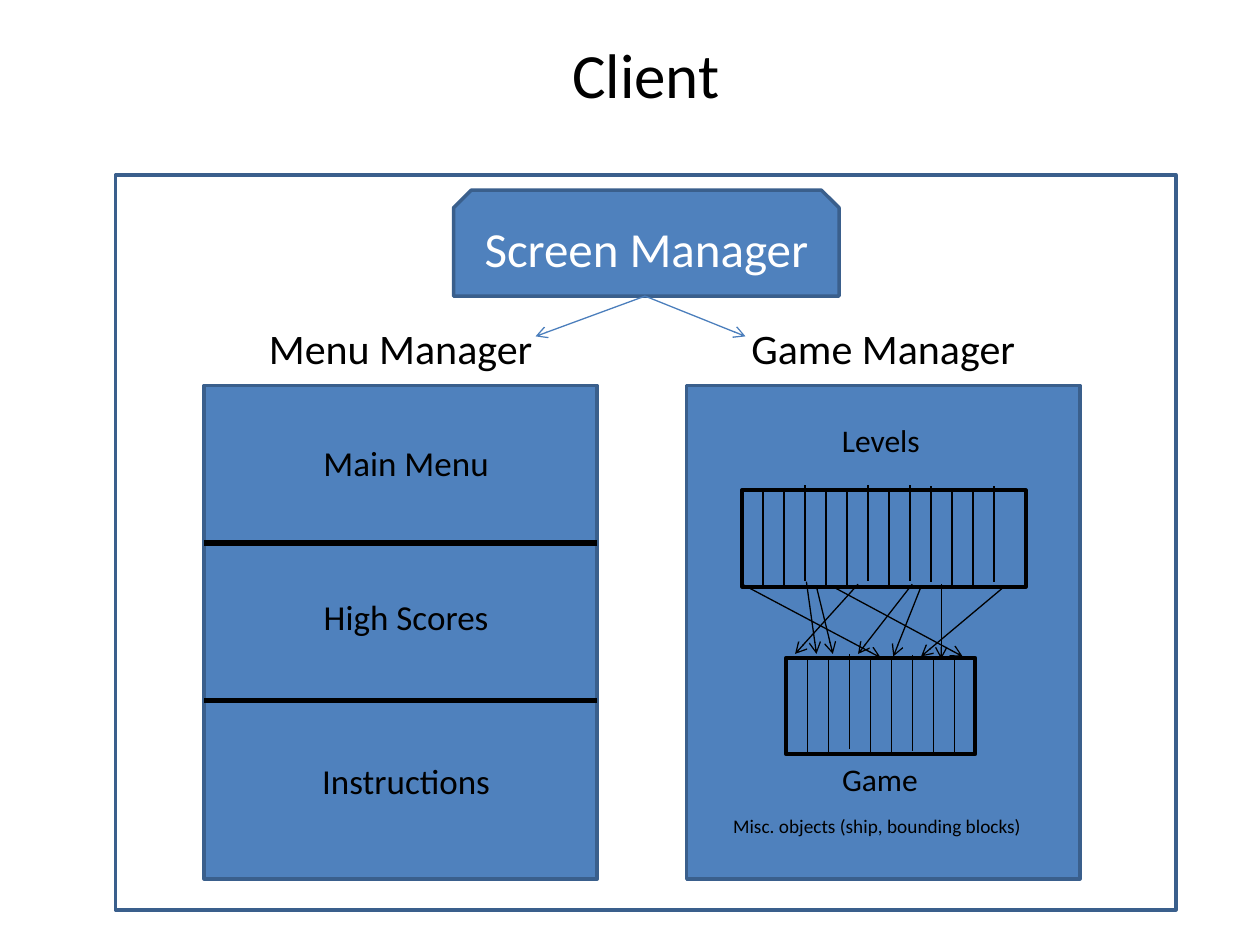
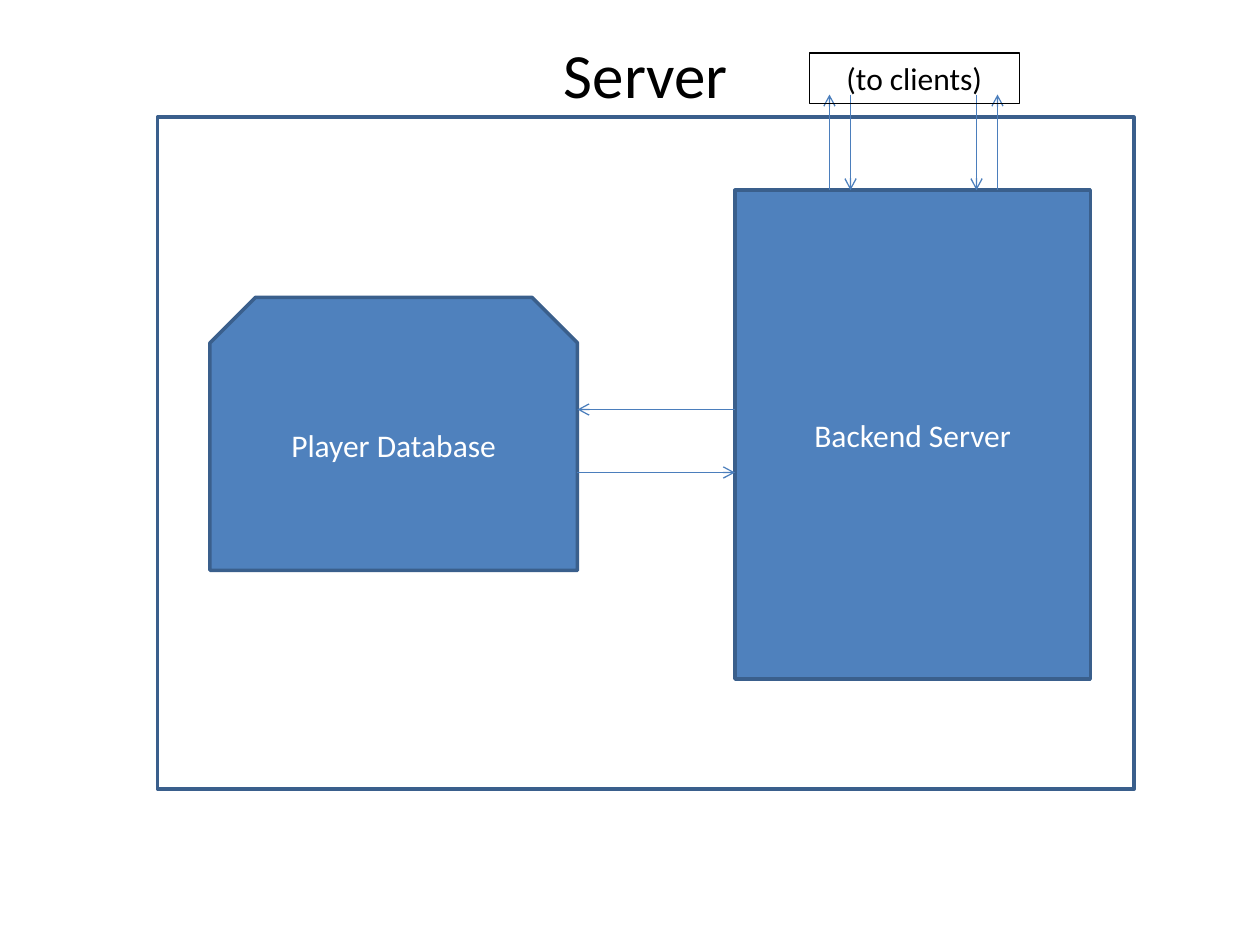
from collections import namedtuple

from lxml import etree
from pptx import Presentation
from pptx import util as u
from pptx.dml.color import RGBColor
from pptx.enum import shapes, text
from pptx.oxml.ns import qn

COLORS = {"paper": "FFFFFF", "block": "4F81BD", "edge": "3A5F8C",
          "arrow": "4B7EBC", "ink": "000000"}
FONT = "Calibri"
COLUMNS, ROWS = 60, 45
CELL = u.Inches(10) // COLUMNS
Box = namedtuple("Box", "x y w h")


def within(box, x, y, w, h):
    """Return a box placed by grid cells from the corner of another box."""
    return Box(box.x + x, box.y + y, w, h)


def cells(*values):
    """Turn grid cells into slide lengths."""
    return [u.Emu(round(value * CELL)) for value in values]


def color(name):
    """Look up a palette colour."""
    return RGBColor.from_string(COLORS[name])


def write(shape, words, size, ink="ink", align=text.PP_ALIGN.CENTER,
          anchor=text.MSO_ANCHOR.TOP):
    """Set one line of text on a shape."""
    frame = shape.text_frame
    frame.word_wrap = True
    frame.vertical_anchor = anchor
    paragraph = frame.paragraphs[0]
    paragraph.text = words
    paragraph.alignment = align
    paragraph.font.name = FONT
    paragraph.font.size = u.Pt(size)
    paragraph.font.color.rgb = color(ink)


def label(slide, box, words, size, align=text.PP_ALIGN.CENTER):
    """Place a text label."""
    write(slide.shapes.add_textbox(*cells(*box)), words, size, align=align)


def block(slide, box, fill="block", edge="edge", width=2,
          kind=shapes.MSO_SHAPE.RECTANGLE):
    """Place an outlined block, with no fill when none is named."""
    shape = slide.shapes.add_shape(kind, *cells(*box))
    shape.shadow.inherit = False
    if fill:
        shape.fill.solid()
        shape.fill.fore_color.rgb = color(fill)
    else:
        shape.fill.background()
    shape.line.color.rgb = color(edge)
    shape.line.width = u.Pt(width)
    return shape


def component(slide, box, words, size, kind=shapes.MSO_SHAPE.RECTANGLE):
    """Place a named system component."""
    write(block(slide, box, kind=kind), words, size, "paper",
          anchor=text.MSO_ANCHOR.MIDDLE)


def line(slide, x1, y1, x2, y2, ink="ink", width=0.75, arrow=False):
    """Draw a straight line, with an optional arrowhead at its end."""
    connector = slide.shapes.add_connector(
        shapes.MSO_CONNECTOR.STRAIGHT, *cells(x1, y1, x2, y2))
    connector.line.color.rgb = color(ink)
    connector.line.width = u.Pt(width)
    if arrow:
        outline = connector.line._get_or_add_ln()
        etree.SubElement(outline, qn("a:tailEnd"), type="arrow")
    etree.SubElement(connector._element.spPr, qn("a:effectLst"))


def titled_slide(deck, title, frame):
    """Add a slide with the shared frame and title."""
    slide = deck.slides.add_slide(deck.slide_layouts[6])
    block(slide, frame, fill="paper")
    label(slide, Box(19.25, 1.4, 23, 4.25), title, 36)
    return slide


def manager_panel(slide, box, heading):
    """Place a manager's panel under its heading."""
    block(slide, box)
    label(slide, within(box, 0, -3.3, box.w, 3), heading, 24)


def menu_manager(slide, box):
    """Fill the menu panel with its three screens."""
    manager_panel(slide, box, "Menu Manager")
    for divider in (7.5, 15):
        line(slide, box.x, box.y + divider, box.x + box.w, box.y + divider, width=3)
    screens = (("Main Menu", 2.35), ("High Scores", 9.72), ("Instructions", 17.52))
    for screen, top in screens:
        label(slide, within(box, 1.62, top, 16, 2.64), screen, 20)


def object_array(slide, box, shifts):
    """Draw an array with one divider per column, shifted up or down."""
    block(slide, box, edge="ink", width=2.25)
    for column, shift in enumerate(shifts, 1):
        x, y = box.x + column, box.y + shift
        line(slide, x, y, x, y + 4.55)


def game_manager(slide, box):
    """Fill the game panel with levels that point to game objects."""
    manager_panel(slide, box, "Game Manager")
    levels = within(box, 2.64, 4.98, 13.5, 4.6)
    game = within(box, 4.74, 12.96, 9, 4.6)
    object_array(slide, levels,
                 (0, 0, -.24, .06, 0, -.24, 0, -.24, -.18, 0, .06, -.18))
    object_array(slide, game, (.06, -.06, -.18, 0, .06, -.12, 0, .12))
    label(slide, within(box, 3.48, 1.38, 11.52, 2.4), "Levels", 18)
    label(slide, within(box, 5.7, 17.52, 7, 2.4), "Game", 18)
    label(slide, within(box, 1.62, 20.1, 15.5, 1.74),
          "Misc. objects (ship, bounding blocks)", 11, text.PP_ALIGN.LEFT)
    references = (
        (0, -.12, 4.5, 0), (3.06, -.24, 1.44, -.18), (3.54, 0, 2.22, -.18),
        (4.32, 0, 8.4, -.06), (5.52, -.12, .42, -.18), (8.1, -.12, 3.42, -.18),
        (8.52, 0, 5.1, -.06), (12.48, 0, 6.42, -.06), (9.48, -.12, 7.38, .06))
    for level, rise, target, drop in references:
        line(slide, levels.x + level, levels.y + levels.h + rise,
             game.x + target, game.y + drop, arrow=True)


def client_slide(deck, frame):
    """Show the client's screen manager and the two managers below it."""
    slide = titled_slide(deck, "Client", frame)
    menu_manager(slide, within(frame, 4.22, 10.03, 18.72, 23.5))
    game_manager(slide, within(frame, 27.2, 10.03, 18.72, 23.5))
    screen = within(frame, 16.1, .73, 18.36, 5.04)
    component(slide, screen, "Screen Manager", 28,
              shapes.MSO_SHAPE.SNIP_2_SAME_RECTANGLE)
    for target in (30, 20):
        line(slide, screen.x + screen.w / 2 - .06, screen.y + screen.h,
             frame.x + target, frame.y + 7.69, "arrow", arrow=True)


def client_links(slide, backend):
    """Connect the backend server with the clients above it."""
    outside = backend.y - 4.56
    for column, upward in ((4.5, True), (5.5, False), (12.5, True), (11.5, False)):
        x = backend.x + column
        start, end = (backend.y, outside) if upward else (outside, backend.y)
        line(slide, x, start, x, end, "arrow", arrow=True)
    clients = block(slide, within(backend, 3.54, -6.54, 10, 2.4),
                    None, "ink", 0.75)
    write(clients, "(to clients)", 18)


def server_slide(deck, frame):
    """Show the player database, the backend server and their links."""
    slide = titled_slide(deck, "Server", frame)
    database = within(frame, 2.5, 8.58, 17.5, 13)
    backend = within(frame, 27.5, 3.48, 16.92, 23.28)
    component(slide, database, "Player Database", 18,
              shapes.MSO_SHAPE.SNIP_2_SAME_RECTANGLE)
    component(slide, backend, "Backend Server", 18)
    near, far = database.x + database.w, backend.x
    for start, end, row in ((far, near, 13.92), (near, far, 16.92)):
        line(slide, start, frame.y + row, end, frame.y + row, "arrow", arrow=True)
    client_links(slide, backend)


def main():
    """Build and save the deck."""
    deck = Presentation()
    deck.slide_width, deck.slide_height = cells(COLUMNS, ROWS)
    client_slide(deck, Box(5.5, 8.33, 50.5, 35))
    server_slide(deck, Box(7.5, 5.58, 46.5, 32))
    deck.save("out.pptx")


main()
